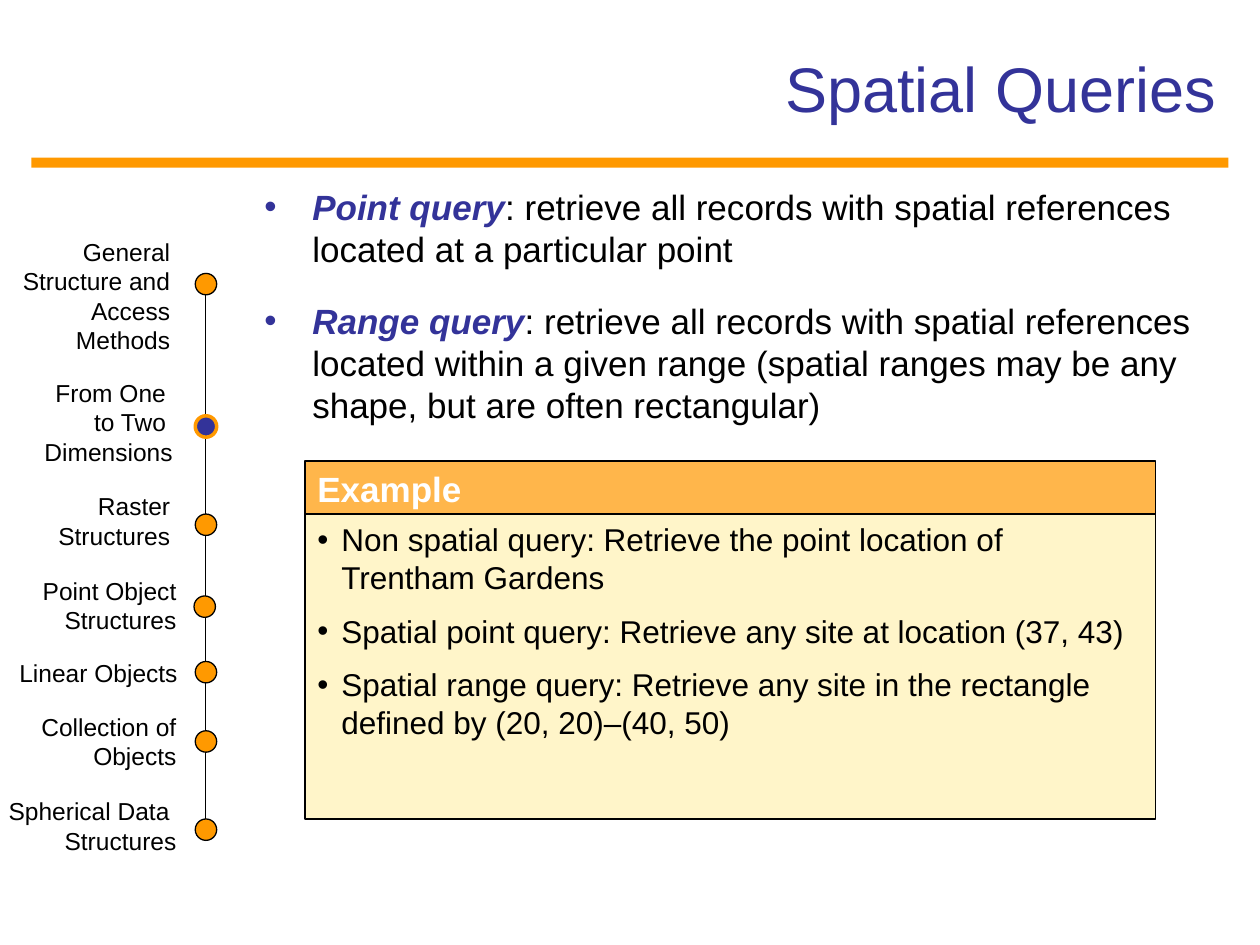
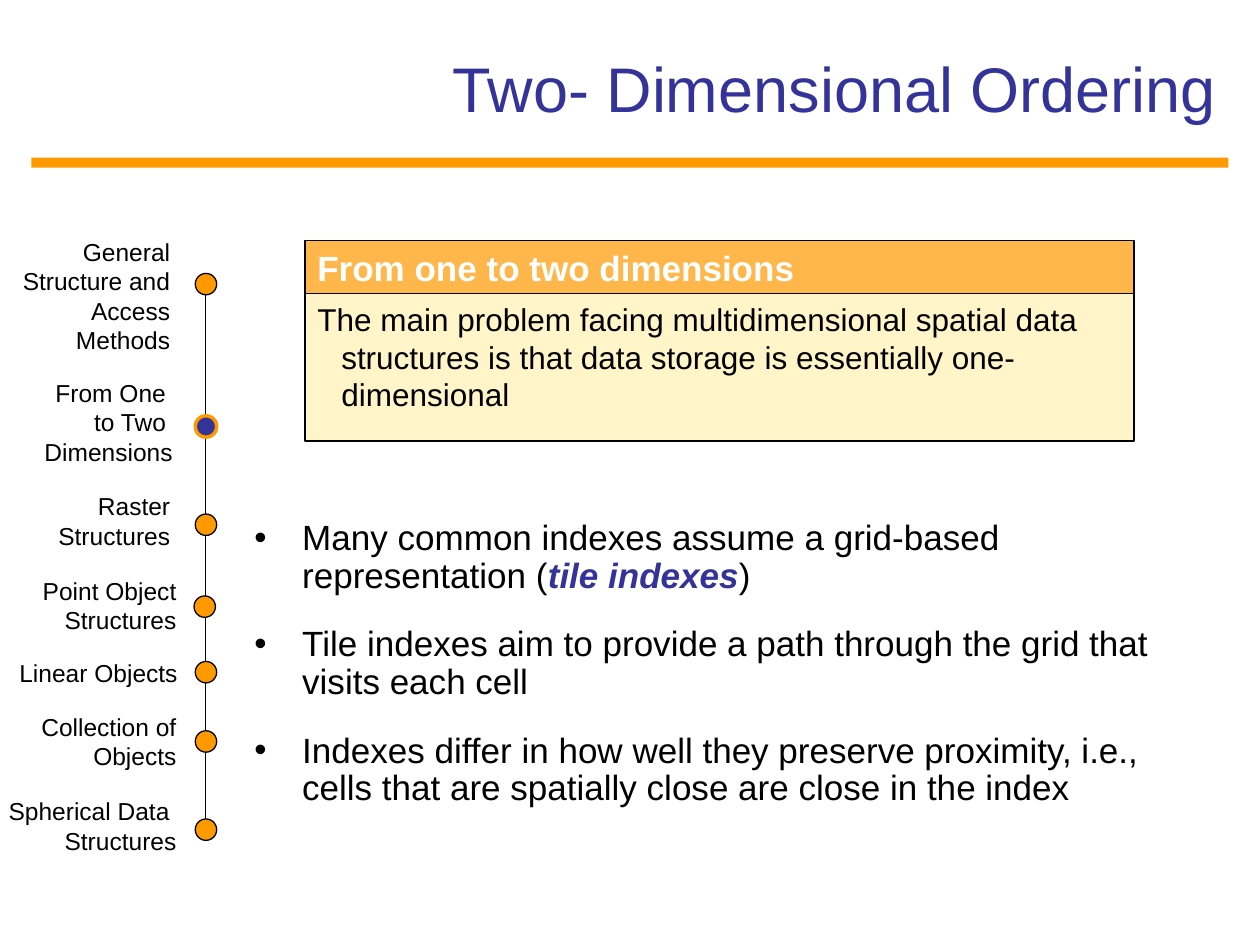
from typing import NamedTuple

from lxml.etree import SubElement
from pptx import Presentation
from pptx.dml.color import RGBColor as RGB
from pptx.enum.shapes import MSO_CONNECTOR as Conn, MSO_SHAPE as Kind
from pptx.enum.text import MSO_ANCHOR as Anchor, MSO_AUTO_SIZE as Auto, PP_ALIGN as Align
from pptx.oxml.ns import qn
from pptx.util import Inches, Pt

FONT = "Arial"
BLACK, WHITE, BLUE, ORANGE = "000000", "FFFFFF", "333399", "FF9900"
HEAD, CREAM = "FFB64B", "FFF5C9"
DOT = 0.17


class Box(NamedTuple):
    left: float
    top: float
    width: float
    height: float


class Style(NamedTuple):
    size: float
    color: str = BLACK
    bold: bool = False
    bullet: str = ""  # bullet colour, empty for none
    indent: float = 0
    form: dict = {}  # paragraph format values


class Stop(NamedTuple):
    lines: list[str]
    box: Box
    dot: tuple[float, float]


class Panel(NamedTuple):
    head: str
    lines: list[str]
    box: Box  # area below the heading bar
    style: Style


class Page(NamedTuple):
    title: str
    lines: list[str]
    box: Box
    style: Style
    panel: Panel


GAP = {"space_before": Pt(8.8), "space_after": Pt(8.8)}
TIGHT = {"space_before": Pt(4.5), "space_after": Pt(4.5)}
TITLE = Style(36, BLUE, form={"alignment": Align.RIGHT})
LABEL = Style(14, form={"alignment": Align.RIGHT})
BAR = Style(20, WHITE, True, form={"alignment": Align.LEFT, "space_before": Pt(12.5)})

STOPS = [
    Stop(["General", "Structure and", "Access", "Methods"], Box(0.08, 1.83, 1.37, 1.04), (1.55, 2.17)),
    Stop(["From One ", "to Two ", "Dimensions"], Box(0.25, 2.95, 1.22, 0.8), (1.55, 3.3)),
    Stop(["Raster", "Structures"], Box(0.36, 3.85, 1.09, 0.57), (1.55, 4.08)),
    Stop(["Point Object", "Structures"], Box(0.24, 4.52, 1.26, 0.57), (1.54, 4.73)),
    Stop(["Linear Objects"], Box(0.05, 5.17, 1.46, 0.34), (1.55, 5.25)),
    Stop(["Collection of", "Objects"], Box(0.23, 5.6, 1.27, 0.57), (1.55, 5.8)),
    Stop(["Spherical Data ", "Structures"], Box(-0.03, 6.27, 1.53, 0.57), (1.55, 6.5)),
]
ACTIVE = 1

# Asterisks enclose key terms
PAGES = [
    Page(
        "Spatial Queries",
        ["*Point query*: retrieve all records with spatial references located at a particular point",
         "*Range query*: retrieve all records with spatial references located within a given range "
         "(spatial ranges may be any shape, but are often rectangular)"],
        Box(2, 1.42, 7.75, 2.58),
        Style(20, bullet=BLUE, indent=0.38, form=GAP),
        Panel(
            "Example",
            ["Non spatial query: Retrieve the point location of Trentham Gardens",
             "Spatial point query: Retrieve any site at location (37, 43)",
             "Spatial range query: Retrieve any site in the rectangle defined by (20, 20)–(40, 50)"],
            Box(2.42, 4.08, 6.75, 2.42),
            Style(18, bullet=BLACK, indent=0.19, form={"alignment": Align.LEFT, **TIGHT}),
        ),
    ),
    Page(
        "Two- Dimensional Ordering",
        ["Many common indexes assume a grid-based representation (*tile indexes*)",
         "Tile indexes aim to provide a path through the grid that visits each cell",
         "Indexes differ in how well they preserve proximity, i.e., "
         "cells that are spatially close are close in the index"],
        Box(1.92, 4.08, 7.75, 2.67),
        Style(20, bullet=BLACK, indent=0.38, form={"line_spacing": 0.9, **GAP}),
        Panel(
            "From one to two dimensions",
            ["The main problem facing multidimensional spatial data structures "
             "is that data storage is essentially one-dimensional"],
            Box(2.42, 2.33, 6.58, 1.17),
            Style(18, indent=0.19, form={"alignment": Align.LEFT}),
        ),
    ),
]


def rgb(code: str) -> RGB:
    return RGB.from_string(code)


def put(item, values: dict) -> None:
    for name, value in values.items():
        setattr(item, name, value)


def area(box: Box) -> list:
    return [Inches(n) for n in box]


def write(frame, lines: list[str], style: Style, **form) -> None:
    """Fill a text frame; odd parts between asterisks are key terms."""
    put(frame, {"word_wrap": True, "auto_size": Auto.NONE, "vertical_anchor": Anchor.TOP, **form})
    for i, line in enumerate(lines):
        para = frame.add_paragraph() if i else frame.paragraphs[0]
        put(para, style.form)
        for j, part in enumerate(line.split("*")):
            if not part:
                continue
            term = j % 2 == 1
            run = para.add_run()
            run.text = part
            put(run.font, {"name": FONT, "size": Pt(style.size),
                           "bold": term or style.bold, "italic": term})
            run.font.color.rgb = rgb(BLUE if term else style.color)
        props = para._p.get_or_add_pPr()
        if style.indent:
            props.set("marL", str(Inches(style.indent)))
            props.set("indent", str(-Inches(style.indent)))
        if style.bullet:
            tint = SubElement(props, qn("a:buClr"))
            SubElement(tint, qn("a:srgbClr"), val=style.bullet)
            SubElement(props, qn("a:buFont"), typeface=FONT)
            SubElement(props, qn("a:buChar"), char="•")


def shape(slide, kind: Kind, box: Box, fill: str, line: str = BLACK, width: float = 0.75):
    item = slide.shapes.add_shape(kind, *area(box))
    item.shadow.inherit = False
    item.fill.solid()
    item.fill.fore_color.rgb = rgb(fill)
    if width:
        item.line.color.rgb = rgb(line)
        item.line.width = Pt(width)
    else:
        item.line.fill.background()
    return item


def text(slide, box: Box, lines: list[str], style: Style, **form) -> None:
    write(slide.shapes.add_textbox(*area(box)).text_frame, lines, style, **form)


def trail(slide) -> None:
    """Draw the topic line with its labels and dots."""
    line = slide.shapes.add_connector(
        Conn.STRAIGHT, Inches(1.63), Inches(2.17), Inches(1.63), Inches(6.58))
    line.line.color.rgb = rgb(BLACK)
    line.line.width = Pt(0.75)
    SubElement(line._element.spPr, qn("a:effectLst"))
    for i, stop in enumerate(STOPS):
        text(slide, stop.box, stop.lines, LABEL, word_wrap=False, auto_size=Auto.SHAPE_TO_FIT_TEXT)
        look = (BLUE, ORANGE, 2) if i == ACTIVE else (ORANGE,)
        shape(slide, Kind.OVAL, Box(*stop.dot, DOT, DOT), *look)


def panel(slide, data: Panel) -> None:
    body = shape(slide, Kind.RECTANGLE, data.box, CREAM)
    write(body.text_frame, data.lines, data.style)
    tall = 0.42
    top = data.box._replace(top=data.box.top - tall, height=tall)
    bar = shape(slide, Kind.RECTANGLE, top, HEAD)
    write(bar.text_frame, [data.head], BAR)


def build(deck, page: Page) -> None:
    slide = deck.slides.add_slide(deck.slide_layouts[5])
    # Title and rule
    title = slide.shapes.title
    put(title, dict(zip(("left", "top", "width", "height"), area(Box(0.75, 0.22, 9, 0.95)))))
    write(title.text_frame, [page.title], TITLE, vertical_anchor=Anchor.MIDDLE)
    shape(slide, Kind.RECTANGLE, Box(0.25, 1.25, 9.5, 0.08), ORANGE, width=0)
    # Topics and content
    trail(slide)
    text(slide, page.box, page.lines, page.style)
    panel(slide, page.panel)


def main() -> None:
    deck = Presentation()
    put(deck, {"slide_width": Inches(10), "slide_height": Inches(7.5)})
    for page in PAGES:
        build(deck, page)
    deck.save("out.pptx")


if __name__ == "__main__":
    main()
